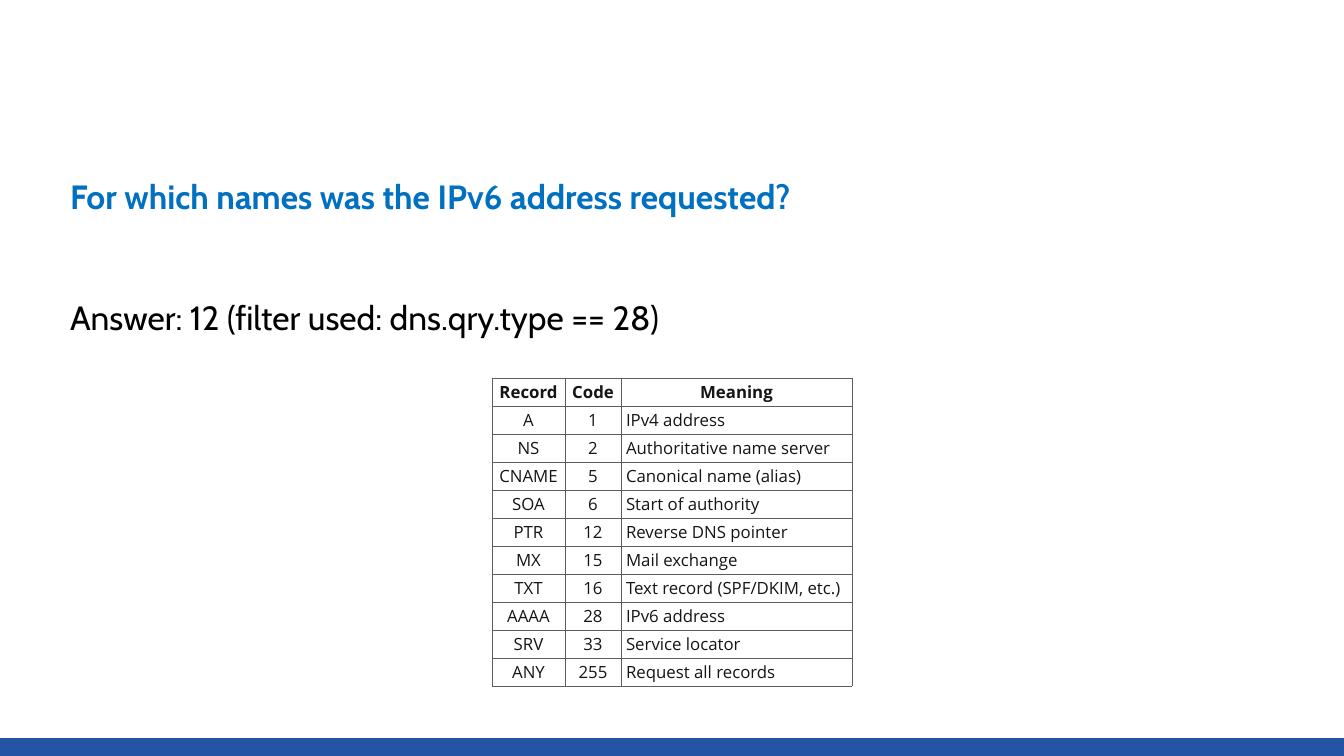
from pptx import Presentation, util as u
from pptx.dml.color import RGBColor
from pptx.enum import shapes, text
from pptx.oxml import parse_xml
from pptx.oxml.ns import nsdecls

# Content
QUESTION = "For which names was the IPv6 address requested?"
ANSWER = "Answer: 12 (filter used: dns.qry.type == 28)"
RECORDS = [
    ("Record", "Code", "Meaning"),
    ("A", "1", "IPv4 address"),
    ("NS", "2", "Authoritative name server"),
    ("CNAME", "5", "Canonical name (alias)"),
    ("SOA", "6", "Start of authority"),
    ("PTR", "12", "Reverse DNS pointer"),
    ("MX", "15", "Mail exchange"),
    ("TXT", "16", "Text record (SPF/DKIM, etc.)"),
    ("AAAA", "28", "IPv6 address"),
    ("SRV", "33", "Service locator"),
    ("ANY", "255", "Request all records"),
]

THEME = {
    "heading_font": "Cabin", "table_font": "Open Sans",
    "heading_size": 48, "table_size": 24, "border_width": 1,
    "question": "0070C0", "answer": "000000", "bar": "2554A4",
    "table_text": "151515", "border": "5E5E5E",
}

# Layout in px
PX = 914400 / 50.4
WIDTH, HEIGHT, BAR = 1344, 756, 18
TEXT_LEFT, TEXT_TOP, TEXT_WIDTH, LINE, INSET = 67, 153, 1211, 60, 3
TABLE_LEFT, TABLE_TOP, ROW = 492, 378, 28
COLUMNS = (73, 56, 231)


def px(n):
    return u.Emu(round(n * PX))


def style(p, font, size, color, bold):
    f = p.font
    f.name, f.size, f.bold = font, u.Pt(size), bold
    f.color.rgb = RGBColor.from_string(color)


def set_line(sp, wording, color, bold):
    tf = sp.text_frame
    tf.text = wording
    tf.word_wrap = True
    tf.auto_size = text.MSO_AUTO_SIZE.NONE
    tf.vertical_anchor = text.MSO_ANCHOR.TOP
    tf.margin_left = tf.margin_right = tf.margin_top = tf.margin_bottom = px(INSET)
    p = tf.paragraphs[0]
    p.alignment = text.PP_ALIGN.LEFT
    p.line_spacing = 1.5
    style(p, THEME["heading_font"], THEME["heading_size"], color, bold)


def set_borders(cell):
    tc_pr = cell._tc.get_or_add_tcPr()
    for i, side in enumerate(("lnL", "lnR", "lnT", "lnB")):
        tc_pr.insert(i, parse_xml(
            f'<a:{side} {nsdecls("a")} w="{u.Pt(THEME["border_width"])}"><a:solidFill>'
            f'<a:srgbClr val="{THEME["border"]}"/></a:solidFill></a:{side}>'))


prs = Presentation()
prs.slide_width, prs.slide_height = px(WIDTH), px(HEIGHT)
s = prs.slides.add_slide(prs.slide_layouts[5])

# Footer bar
bar = s.shapes.add_shape(shapes.MSO_SHAPE.RECTANGLE, 0, px(HEIGHT - BAR), px(WIDTH), px(BAR))
bar.shadow.inherit = False
bar.fill.solid()
bar.fill.fore_color.rgb = RGBColor.from_string(THEME["bar"])
bar.line.fill.background()

# Question and answer, one empty line apart
title = s.shapes.title
title.left, title.top = px(TEXT_LEFT), px(TEXT_TOP)
title.width, title.height = px(TEXT_WIDTH), px(LINE + 2 * INSET)
set_line(title, QUESTION, THEME["question"], True)
answer = s.shapes.add_textbox(px(TEXT_LEFT), px(TEXT_TOP + 2 * LINE + 1),
                              px(TEXT_WIDTH), px(LINE + 2 * INSET))
set_line(answer, ANSWER, THEME["answer"], False)

# Table of record types
table = s.shapes.add_table(len(RECORDS), len(COLUMNS), px(TABLE_LEFT), px(TABLE_TOP),
                           px(sum(COLUMNS)), px(ROW * len(RECORDS))).table
table.horz_banding = False
for col, width in zip(table.columns, COLUMNS):
    col.width = px(width)
for r, record in enumerate(RECORDS):
    table.rows[r].height = px(ROW)
    for c, wording in enumerate(record):
        cell = table.cell(r, c)
        cell.text = wording
        cell.fill.background()
        cell.vertical_anchor = text.MSO_ANCHOR.MIDDLE
        set_borders(cell)
        p = cell.text_frame.paragraphs[0]
        centred = r == 0 or c < 2
        p.alignment = text.PP_ALIGN.CENTER if centred else text.PP_ALIGN.LEFT
        style(p, THEME["table_font"], THEME["table_size"], THEME["table_text"], r == 0)

prs.save("out.pptx")
